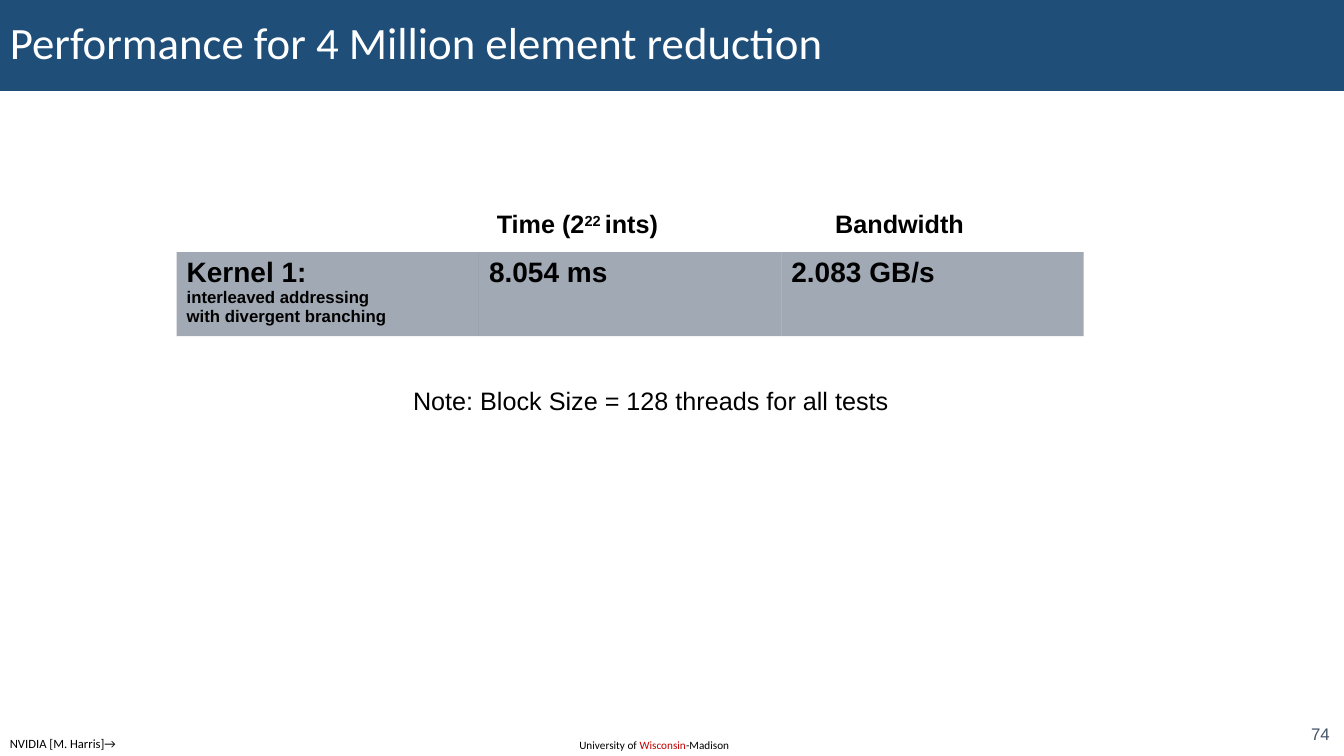
from copy import deepcopy
from dataclasses import dataclass

from lxml import etree
from pptx import Presentation
from pptx import util as u
from pptx.dml.color import RGBColor
from pptx.enum import shapes, text
from pptx.oxml.ns import qn

NO_TABLE_STYLE = "{2D5ABB26-0587-4C30-8999-92F81FD0307C}"


@dataclass(frozen=True)
class Theme:
    navy: str = "1F4E79"
    slate: str = "44546A"
    red: str = "C00000"
    black: str = "000000"
    white: str = "FFFFFF"
    body: str = "Arial"
    heading: str = "Calibri"
    title_size: int = 32
    value_size: int = 20
    label_size: int = 18
    detail_size: int = 12
    credit_size: int = 9
    footer_size: int = 8


class SlideBuilder:
    def __init__(self, page, theme):
        self.page = page
        self.theme = theme

    def add_spans(self, para, spans):
        """Add (text, format) spans; a newline in the text becomes a line break."""
        for words, changes in spans:
            style = {"name": self.theme.body, "size": self.theme.label_size,
                     "color": self.theme.black, "bold": False, **changes}
            color = RGBColor.from_string(style.pop("color"))
            baseline = style.pop("baseline", None)
            style["size"] = u.Pt(style["size"])
            for number, line in enumerate(words.split("\n")):
                if number:
                    line_break = para._p.add_br()
                    line_break.append(deepcopy(span.font._element))
                    if not line:
                        continue
                span = para.add_run()
                span.text = line
                for name, value in style.items():
                    setattr(span.font, name, value)
                span.font.color.rgb = color
                if baseline:
                    span.font._element.set("baseline", str(baseline))

    def text_box(self, place, spans, align=text.PP_ALIGN.LEFT,
                 anchor=text.MSO_ANCHOR.TOP, wrap=False):
        box = self.page.shapes.add_textbox(*map(u.Cm, place))
        frame = box.text_frame
        frame.word_wrap = wrap
        frame.vertical_anchor = anchor
        para = frame.paragraphs[0]
        para.alignment = align
        self.add_spans(para, spans)

    def title_bar(self, place, words):
        bar = self.page.shapes.add_shape(shapes.MSO_SHAPE.RECTANGLE, *map(u.Cm, place))
        bar.shadow.inherit = False
        bar.fill.solid()
        bar.fill.fore_color.rgb = RGBColor.from_string(self.theme.navy)
        bar.line.fill.background()
        frame = bar.text_frame
        frame.word_wrap = True
        frame.vertical_anchor = text.MSO_ANCHOR.MIDDLE
        para = frame.paragraphs[0]
        para.alignment = text.PP_ALIGN.LEFT
        para.line_spacing = 0.9
        self.add_spans(para, [(words, {"name": self.theme.heading,
                                       "color": self.theme.white,
                                       "size": self.theme.title_size})])

    def table(self, place, rows):
        frame = self.page.shapes.add_table(len(rows), len(rows[0]), *map(u.Cm, place))
        grid = frame.table
        grid.first_row = grid.horz_banding = False
        grid._tbl.tblPr.find(qn("a:tableStyleId")).text = NO_TABLE_STYLE
        for row, contents in zip(grid.rows, rows):
            for cell, spans in zip(row.cells, contents):
                cell.fill.solid()
                cell.fill.fore_color.rgb = RGBColor.from_string(self.theme.slate)
                color = cell._tc.tcPr.find(".//" + qn("a:srgbClr"))
                etree.SubElement(color, qn("a:alpha"), val="50000")
                self.add_spans(cell.text_frame.paragraphs[0], spans)


def main():
    deck = Presentation()
    deck.slide_width, deck.slide_height = u.Cm(33.87), u.Cm(19.05)
    theme = Theme()
    slide = SlideBuilder(deck.slides.add_slide(deck.slide_layouts[6]), theme)

    footer = {"name": theme.heading, "size": theme.footer_size}
    credit = {"name": theme.heading, "size": theme.credit_size}
    label = {"bold": True}
    value = {"bold": True, "size": theme.value_size}
    detail = {"bold": True, "size": theme.detail_size}

    slide.text_box((14.35, 18.49, 4.37, 0.6),
                   [("University of ", footer),
                    ("Wisconsin", {**footer, "color": theme.red}),
                    ("-Madison", footer)], wrap=True)
    slide.title_bar((0, 0, 33.87, 2.29), "Performance for 4 Million element reduction")
    slide.text_box((31.83, 18.11, 1.93, 0.74),
                   [("74", {"size": theme.detail_size, "color": theme.slate})],
                   text.PP_ALIGN.RIGHT, text.MSO_ANCHOR.MIDDLE, wrap=True)
    slide.table((4.45, 6.35, 22.86, 2.12), [[
        [("Kernel 1: \n", value),
         ("interleaved addressing\nwith divergent branching", detail)],
        [("8.054 ms", value)],
        [("2.083 GB/s", value)],
    ]])
    slide.text_box((10.16, 9.58, 12.5, 1.03),
                   [("Note: Block Size = 128 threads for all tests", {})])
    slide.text_box((20.8, 5.13, 3.76, 1.03), [("Bandwidth", label)])
    slide.text_box((12.27, 5.13, 4.67, 1.03),
                   [("Time (2", label), ("22 ", {**label, "baseline": 30000}),
                    ("ints)", label)])
    slide.text_box((0, 18.42, 3.18, 0.64), [("NVIDIA [M. Harris]→", credit)])

    deck.save("out.pptx")


if __name__ == "__main__":
    main()
